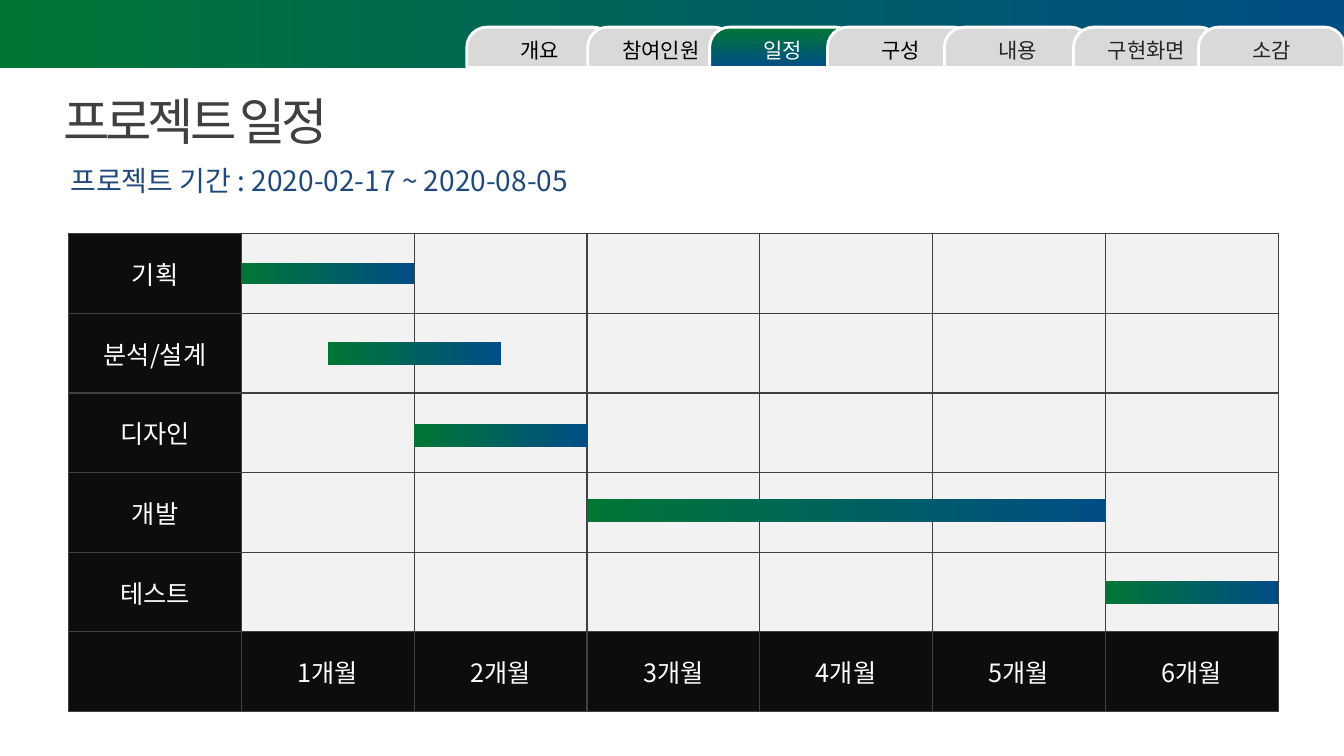
from dataclasses import dataclass

from lxml import etree
from pptx import Presentation
from pptx.dml.color import RGBColor
from pptx.enum.shapes import MSO_SHAPE
from pptx.enum.text import MSO_ANCHOR, PP_ALIGN
from pptx.oxml.ns import qn
from pptx.util import Pt

RECTANGLE = MSO_SHAPE.RECTANGLE
TAB_SHAPE = MSO_SHAPE.ROUND_2_SAME_RECTANGLE
MIDDLE = MSO_ANCHOR.MIDDLE
LEFT = PP_ALIGN.LEFT
CENTER = PP_ALIGN.CENTER

FONT = "Noto Sans CJK KR"
GREEN, BLUE = "007635", "004D86"
WHITE, BLACK, CHARCOAL = "FFFFFF", "000000", "262626"
TAB_GRAY, CELL_GRAY = "D9D9D9", "F2F2F2"
HEADER_BLACK, GRID_GRAY = "0D0D0D", "404040"

SLIDE_WIDTH, SLIDE_HEIGHT = 960, 540
TABLE_LEFT, TABLE_TOP, TABLE_WIDTH = 49, 167, 864
ROW_HEIGHT = 56.88
PHASES = ["기획", "분석/설계", "디자인", "개발", "테스트"]
MONTHS = 6
COLUMN_WIDTH = TABLE_WIDTH / (MONTHS + 1)
TAB_TOP, TAB_WIDTH, TAB_HEIGHT = 19.4, 104.4, 28.8


@dataclass
class Bar:
    start_month: float
    end_month: float
    top: float
    height: float = 16.5


@dataclass
class Tab:
    label: str
    left: float
    color: str = BLACK
    active: bool = False


BARS = [
    Bar(0, 1, 188, 15),
    Bar(0.5, 1.5, 244.2),
    Bar(1, 2, 302.6),
    Bar(2, 5, 356.6),
    Bar(5, 6, 414.8),
]

TABS = [
    Tab("개요", 333.4),
    Tab("참여인원", 419.8),
    Tab("일정", 506.9, WHITE, True),
    Tab("구성", 591.1),
    Tab("내용", 674.6, CHARCOAL),
    Tab("구현화면", 766.8, CHARCOAL),
    Tab("소감", 856.1, CHARCOAL),
]


def rgb(color: str) -> RGBColor:
    return RGBColor.from_string(color)


def write_text(text_frame, text: str, *, size: float, color: str,
               align=LEFT, spacing: float = 0) -> None:
    paragraph = text_frame.paragraphs[0]
    paragraph.alignment = align
    run = paragraph.add_run()
    run.text = text
    run.font.size = Pt(size)
    run.font.name = FONT
    run.font.color.rgb = rgb(color)
    properties = run.font._element
    if spacing:
        properties.set("spc", str(round(spacing * 100)))
    etree.SubElement(properties, qn("a:ea"), typeface=FONT)


def fill_gradient(shape, angle: float = 0) -> None:
    shape.fill.gradient()
    shape.fill.gradient_angle = angle
    for stop, color in zip(shape.fill.gradient_stops, (GREEN, BLUE)):
        stop.color.rgb = rgb(color)


def add_gradient_bar(slide, left: float, top: float, width: float, height: float) -> None:
    shape = slide.shapes.add_shape(RECTANGLE, Pt(left), Pt(top), Pt(width), Pt(height))
    shape.shadow.inherit = False
    shape.line.fill.background()
    fill_gradient(shape)


def add_title(slide) -> None:
    title = slide.shapes.title
    title.left, title.top, title.width, title.height = Pt(38.2), Pt(60.5), Pt(221.8), Pt(51)
    title.text_frame.word_wrap = False
    title.text_frame.vertical_anchor = MIDDLE
    write_text(title.text_frame, "프로젝트 일정", size=36, color=GRID_GRAY, spacing=-3)


def add_period(slide) -> None:
    box = slide.shapes.add_textbox(Pt(43.2), Pt(116.6), Pt(609), Pt(23.8))
    box.text_frame.word_wrap = True
    box.text_frame.vertical_anchor = MIDDLE
    write_text(box.text_frame, "프로젝트 기간 : 2020-02-17 ~ 2020-08-05",
               size=20, color="1F497D")


def set_borders(cell) -> None:
    properties = cell._tc.get_or_add_tcPr()
    for side in ("lnL", "lnR", "lnT", "lnB"):
        line = etree.SubElement(properties, qn(f"a:{side}"), w=str(Pt(1)))
        fill = etree.SubElement(line, qn("a:solidFill"))
        etree.SubElement(fill, qn("a:srgbClr"), val=GRID_GRAY)


def add_schedule(slide) -> None:
    rows, columns = len(PHASES) + 1, MONTHS + 1
    table = slide.shapes.add_table(
        rows, columns, Pt(TABLE_LEFT), Pt(TABLE_TOP),
        Pt(TABLE_WIDTH), Pt(ROW_HEIGHT * rows)).table
    table.first_row = False
    table.horz_banding = False
    for column in table.columns:
        column.width = Pt(COLUMN_WIDTH)
    for row in table.rows:
        row.height = Pt(ROW_HEIGHT)

    labels = {(index, 0): phase for index, phase in enumerate(PHASES)}
    labels |= {(rows - 1, month): f"{month}개월" for month in range(1, columns)}
    for row in range(rows):
        for column in range(columns):
            cell = table.cell(row, column)
            is_header = column == 0 or row == rows - 1
            set_borders(cell)
            cell.fill.solid()
            cell.fill.fore_color.rgb = rgb(HEADER_BLACK if is_header else CELL_GRAY)
            cell.vertical_anchor = MIDDLE
            if (row, column) in labels:
                write_text(cell.text_frame, labels[row, column],
                           size=18, color=WHITE, align=CENTER)


def add_tab(slide, tab: Tab) -> None:
    shape = slide.shapes.add_shape(
        TAB_SHAPE, Pt(tab.left), Pt(TAB_TOP), Pt(TAB_WIDTH), Pt(TAB_HEIGHT))
    shape.shadow.inherit = False
    shape.adjustments[0] = 0.5
    shape.line.color.rgb = rgb(WHITE)
    shape.line.width = Pt(2)
    if tab.active:
        fill_gradient(shape, 270)
    else:
        shape.fill.solid()
        shape.fill.fore_color.rgb = rgb(TAB_GRAY)
    shape.text_frame.vertical_anchor = MIDDLE
    write_text(shape.text_frame, tab.label, size=15, color=tab.color, align=CENTER)


def main() -> None:
    presentation = Presentation()
    presentation.slide_width = Pt(SLIDE_WIDTH)
    presentation.slide_height = Pt(SLIDE_HEIGHT)
    slide = presentation.slides.add_slide(presentation.slide_layouts[5])

    add_gradient_bar(slide, 0, -0.5, SLIDE_WIDTH, 49)
    add_title(slide)
    add_period(slide)
    add_schedule(slide)
    chart_left = TABLE_LEFT + COLUMN_WIDTH
    for bar in BARS:
        add_gradient_bar(slide, chart_left + bar.start_month * COLUMN_WIDTH, bar.top,
                         (bar.end_month - bar.start_month) * COLUMN_WIDTH, bar.height)
    for tab in TABS:
        add_tab(slide, tab)
    presentation.save("out.pptx")


if __name__ == "__main__":
    main()
